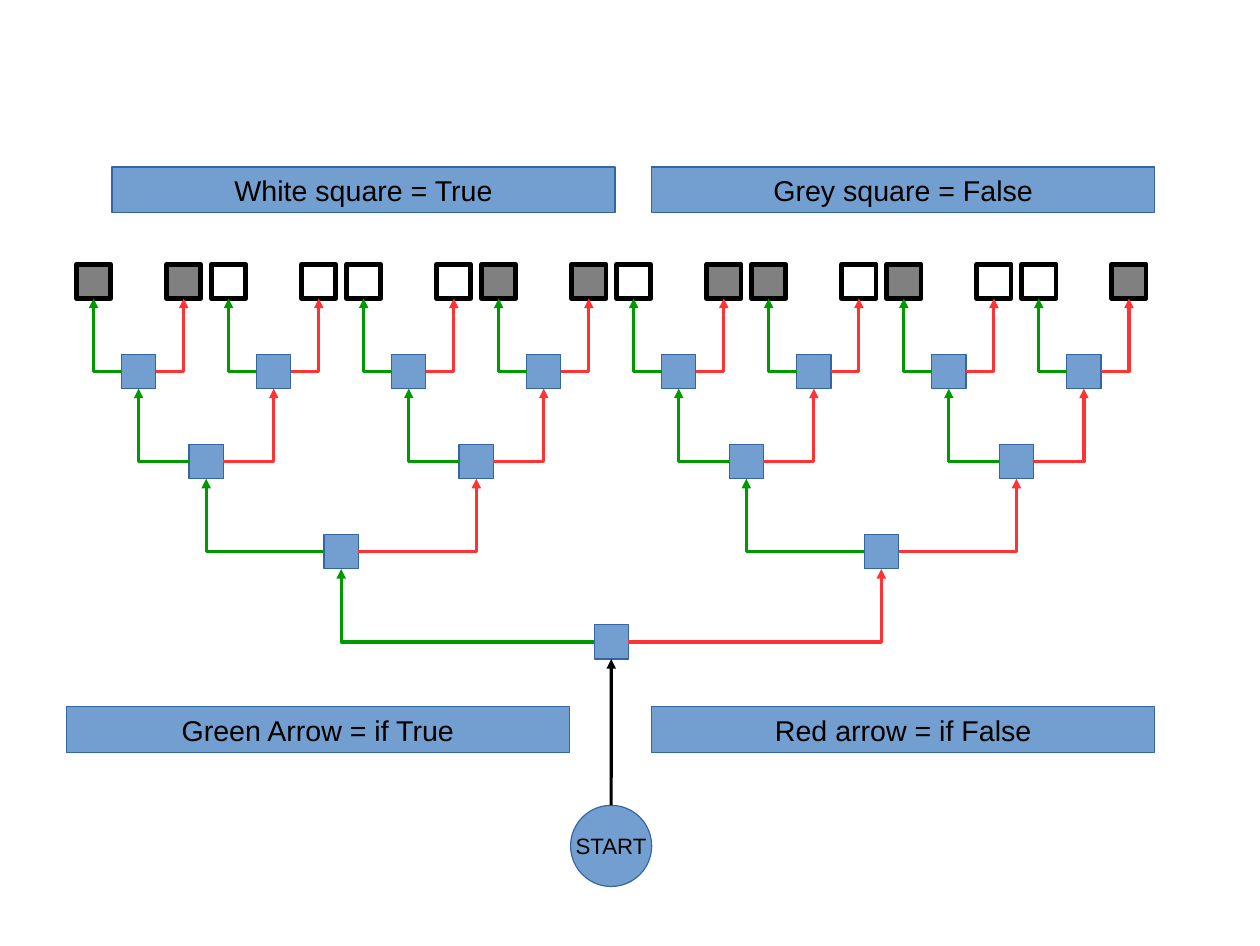
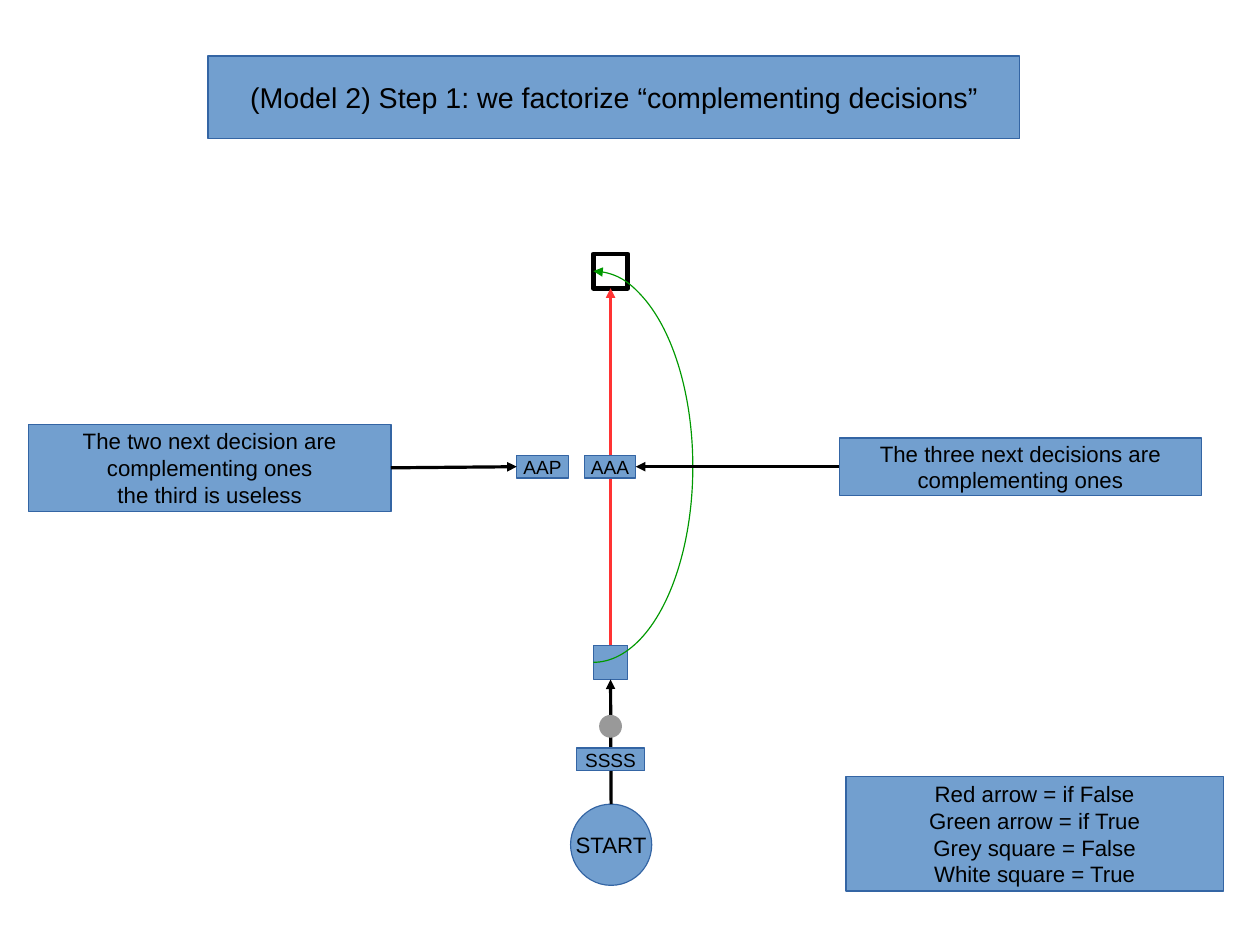
from lxml.etree import SubElement
from pptx import Presentation
from pptx.dml.color import RGBColor
from pptx.enum.shapes import MSO_CONNECTOR, MSO_SHAPE
from pptx.enum.text import MSO_ANCHOR, PP_ALIGN
from pptx.oxml.ns import qn
from pptx.util import Inches, Pt

COLOURS = {
    "blue": "729FCF",
    "edge": "3465A4",
    "black": "000000",
    "white": "FFFFFF",
    "grey": "808080",
    "dot": "999999",
    "green": "009900",
    "red": "FF3333",
}
COLOURS = {name: RGBColor.from_string(value) for name, value in COLOURS.items()}
TOP, LEFT, BOTTOM, RIGHT = range(4)
SIDE = 0.3


def add_block(slide, left, top, width, height, text="", size=14,
              kind=MSO_SHAPE.RECTANGLE, fill="blue", edge="edge", weight=0):
    block = slide.shapes.add_shape(kind, Inches(left), Inches(top), Inches(width), Inches(height))
    block.shadow.inherit = False
    block.fill.solid()
    block.fill.fore_color.rgb = COLOURS[fill]
    block.line.width = Pt(weight)
    block.line.color.rgb = COLOURS[edge]
    if text:
        frame = block.text_frame
        frame.text = text
        frame.word_wrap = False
        frame.vertical_anchor = MSO_ANCHOR.MIDDLE
        for para in frame.paragraphs:
            para.alignment = PP_ALIGN.CENTER
            for span in para.runs:
                span.font.name = "Arial"
                span.font.size = Pt(size)
                span.font.color.rgb = COLOURS["black"]
    return block


def add_arrow(slide, source, source_side, target, target_side, colour="black", bent=False):
    kind = MSO_CONNECTOR.ELBOW if bent else MSO_CONNECTOR.STRAIGHT
    arrow = slide.shapes.add_connector(kind, 0, 0, 0, 0)
    arrow.begin_connect(source, source_side)
    arrow.end_connect(target, target_side)
    arrow.line.width = Pt(0)
    arrow.line.color.rgb = COLOURS[colour]
    properties = arrow._element.spPr
    if bent:
        properties.find(qn("a:prstGeom")).set("prst", "bentConnector2")
    SubElement(properties.find(qn("a:ln")), qn("a:tailEnd"), type="triangle")
    SubElement(properties, qn("a:effectLst"))


deck = Presentation()
deck.slide_width = Inches(11.02)
deck.slide_height = Inches(8.27)
blank = deck.slide_layouts[6]

tree = deck.slides.add_slide(blank)
answers = "FFTTTTFFTFFTFTTF"
pair_pitch = 1.181
leaf_offset = 0.394
level_pitch = 0.788
leaf_top = 2.31

centres = [1.213 + pair_pitch * (index // 2) + leaf_offset * (1 if index % 2 else -1)
           for index in range(len(answers))]
children = []
for centre, answer in zip(centres, answers):
    fill = "white" if answer == "T" else "grey"
    children.append(add_block(tree, centre - SIDE / 2, leaf_top, SIDE, SIDE,
                              fill=fill, edge="black", weight=3))

level_top = leaf_top
while len(children) > 1:
    level_top += level_pitch
    centres = [(first + second) / 2 for first, second in zip(centres[::2], centres[1::2])]
    parents = []
    for centre, true_child, false_child in zip(centres, children[::2], children[1::2]):
        parent = add_block(tree, centre - SIDE / 2, level_top, SIDE, SIDE)
        add_arrow(tree, parent, LEFT, true_child, BOTTOM, "green", bent=True)
        add_arrow(tree, parent, RIGHT, false_child, BOTTOM, "red", bent=True)
        parents.append(parent)
    children = parents

start = add_block(tree, 4.99, 7.04, 0.71, 0.71, "START", kind=MSO_SHAPE.OVAL)
add_arrow(tree, start, TOP, children[0], BOTTOM)

for left, top, text in [
    (5.7, 6.18, "Red arrow = if False"),
    (0.58, 6.18, "Green Arrow = if True"),
    (5.7, 1.46, "Grey square = False"),
    (0.98, 1.46, "White square = True"),
]:
    add_block(tree, left, top, 4.4, 0.4, text, 18)

model = deck.slides.add_slide(blank)
result = add_block(model, 5.19, 2.22, SIDE, SIDE, fill="white", edge="black", weight=3)
decision = add_block(model, 5.19, 5.64, SIDE, SIDE)
add_arrow(model, decision, TOP, result, BOTTOM, "red")
start = add_block(model, 4.99, 7.03, 0.71, 0.71, "START", kind=MSO_SHAPE.OVAL)
add_arrow(model, start, TOP, decision, BOTTOM)
three_tag = add_block(model, 5.11, 3.98, 0.45, 0.2, "AAA", 12)
add_block(model, 5.04, 6.54, 0.6, 0.2, "SSSS", 12)

true_arc = add_block(model, 4.32, 2.37, 1.74, 3.42, kind=MSO_SHAPE.ARC, edge="green")
true_arc.fill.background()
true_arc.adjustments[1] = 54
SubElement(true_arc._element.spPr.find(qn("a:ln")), qn("a:headEnd"), type="triangle")

two_tag = add_block(model, 4.52, 3.98, 0.45, 0.2, "AAP", 12)
dot = add_block(model, 5.24, 6.25, 0.2, 0.2, kind=MSO_SHAPE.OVAL, fill="dot")
dot.line.fill.background()

three_note = add_block(model, 7.34, 3.83, 3.17, 0.5,
                       "The three next decisions are\ncomplementing ones")
add_arrow(model, three_note, LEFT, three_tag, RIGHT)
two_note = add_block(model, 0.25, 3.71, 3.17, 0.76,
                     "The two next decision are\ncomplementing ones\nthe third is useless")
add_arrow(model, two_note, RIGHT, two_tag, LEFT)
add_block(model, 7.4, 6.79, 3.3, 1,
          "Red arrow = if False\nGreen arrow = if True\nGrey square = False\nWhite square = True")
add_block(model, 1.82, 0.49, 7.1, 0.72,
          "(Model 2) Step 1: we factorize “complementing decisions”", 18)

deck.save("out.pptx")
